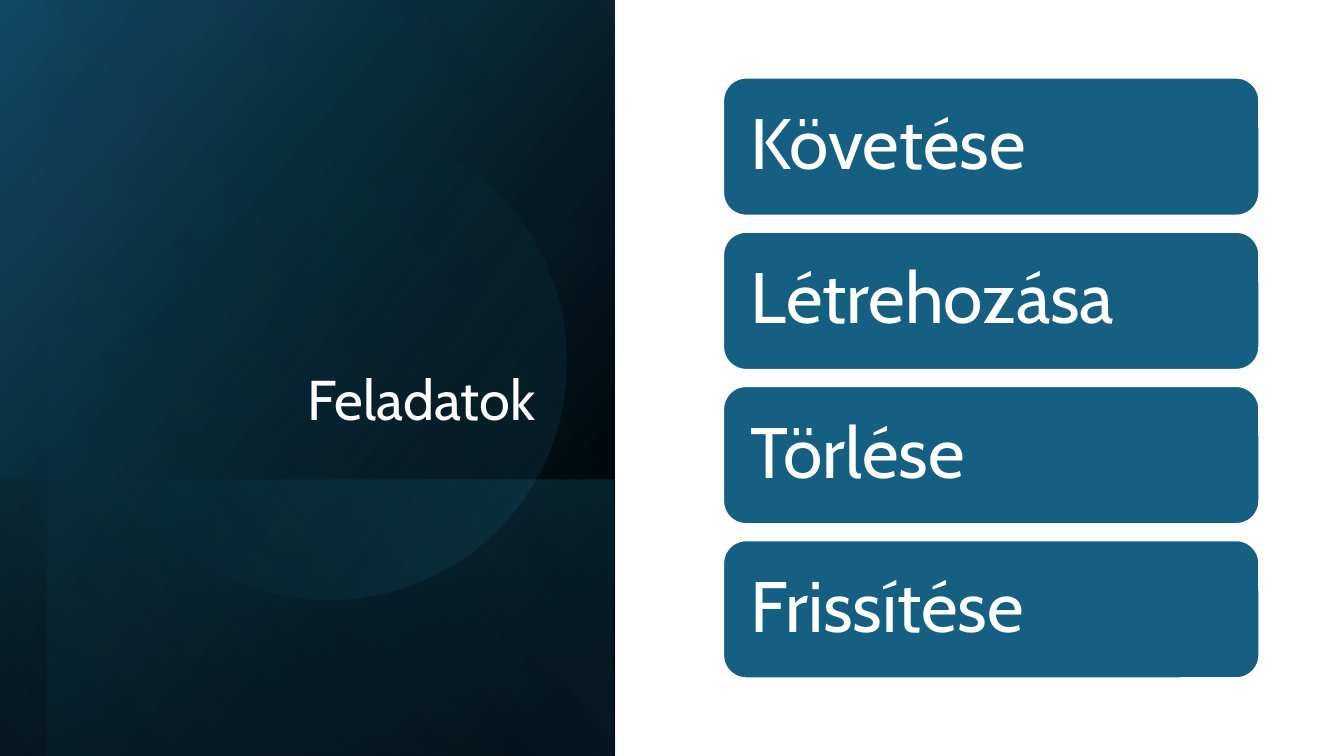
from lxml.etree import SubElement
from pptx import Presentation
from pptx.dml.color import RGBColor
from pptx.enum.shapes import MSO_SHAPE
from pptx.enum.text import MSO_ANCHOR, PP_ALIGN
from pptx.oxml.ns import qn
from pptx.util import Inches, Pt

COLS, ROWS = 40, 30
BLACK, WHITE, TEAL, NAVY, SKY = "000000", "FFFFFF", "156082", "104862", "46B1E1"
TASKS = ["Követése", "Létrehozása", "Törlése", "Frissítése"]


def rgb(color):
    return RGBColor.from_string(color)


class SlideBuilder:
    font = "Cabin"
    line_spacing = 0.9

    def __init__(self, prs):
        self.slide = prs.slides.add_slide(prs.slide_layouts[6])
        self.col = prs.slide_width / COLS
        self.row = prs.slide_height / ROWS

    def place(self, x, y, w, h):
        return (round(x * self.col), round(y * self.row),
                round(w * self.col), round(h * self.row))

    def shape(self, kind, box):
        sp = self.slide.shapes.add_shape(kind, *self.place(*box))
        sp.shadow.inherit = False
        return sp

    def gradient(self, kind, box, rotation, angle, stops, flip=True):
        sp = self.shape(kind, box)
        sp.rotation = rotation
        if flip:
            sp._element.spPr.xfrm.set("flipH", "1")
        sp.line.fill.background()
        sp.fill.gradient()
        sp.fill.gradient_angle = 360 - angle
        for gs, (position, color, _) in zip(sp.fill.gradient_stops, stops):
            gs.position = position / 100
            gs.color.rgb = rgb(color)
        for clr, (_, _, opacity) in zip(sp._element.spPr.iter(qn("a:srgbClr")), stops):
            if opacity < 100:
                SubElement(clr, qn("a:alpha")).set("val", str(opacity * 1000))

    def set_text(self, sp, text, size, align, anchor):
        tf = sp.text_frame
        tf.word_wrap = True
        tf.vertical_anchor = anchor
        p = tf.paragraphs[0]
        p.text = text
        p.alignment = align
        p.line_spacing = self.line_spacing
        p.font.name = self.font
        p.font.size = Pt(size)
        p.font.color.rgb = rgb(WHITE)
        return tf

    def title(self, text, box):
        sp = self.slide.shapes.add_textbox(*self.place(*box))
        tf = self.set_text(sp, text, 40, PP_ALIGN.RIGHT, MSO_ANCHOR.BOTTOM)
        tf.margin_right = Inches(0.22)

    def card(self, text, box):
        sp = self.shape(MSO_SHAPE.ROUNDED_RECTANGLE, box)
        sp.fill.solid()
        sp.fill.fore_color.rgb = rgb(TEAL)
        sp.line.color.rgb = rgb(WHITE)
        sp.line.width = Pt(1.5)
        tf = self.set_text(sp, text, 51, PP_ALIGN.LEFT, MSO_ANCHOR.MIDDLE)
        tf.margin_left = tf.margin_right = Inches(0.21)
        tf.margin_top = tf.margin_bottom = Inches(0.21)


def main():
    prs = Presentation()
    prs.slide_width, prs.slide_height = Inches(13.33), Inches(7.5)
    s = SlideBuilder(prs)

    rect, oval = MSO_SHAPE.RECTANGLE, MSO_SHAPE.OVAL
    s.gradient(rect, (-2.1, 2.8, 22.5, 24.4), 90, 50,
               [(8, BLACK, 100), (100, NAVY, 100)])
    s.gradient(rect, (5, 12.32, 8.22, 24.4), 90, 130,
               [(2, TEAL, 29), (100, BLACK, 30)])
    s.gradient(rect, (-1.38, 3.72, 22.5, 22.52), 90, 130,
               [(0, BLACK, 0), (99, TEAL, 11)])
    s.gradient(oval, (2.7, 4.92, 14.16, 18.88), 101.6, 290,
               [(39, TEAL, 0), (100, SKY, 15)], flip=False)

    s.title("Feladatok", (2.7, 2.56, 13.89, 14.8))

    top, pitch = 3.08, 6.12
    for i, task in enumerate(TASKS):
        s.card(task, (21.52, top + i * pitch, 15.96, 5.48))

    prs.save("out.pptx")


if __name__ == "__main__":
    main()
